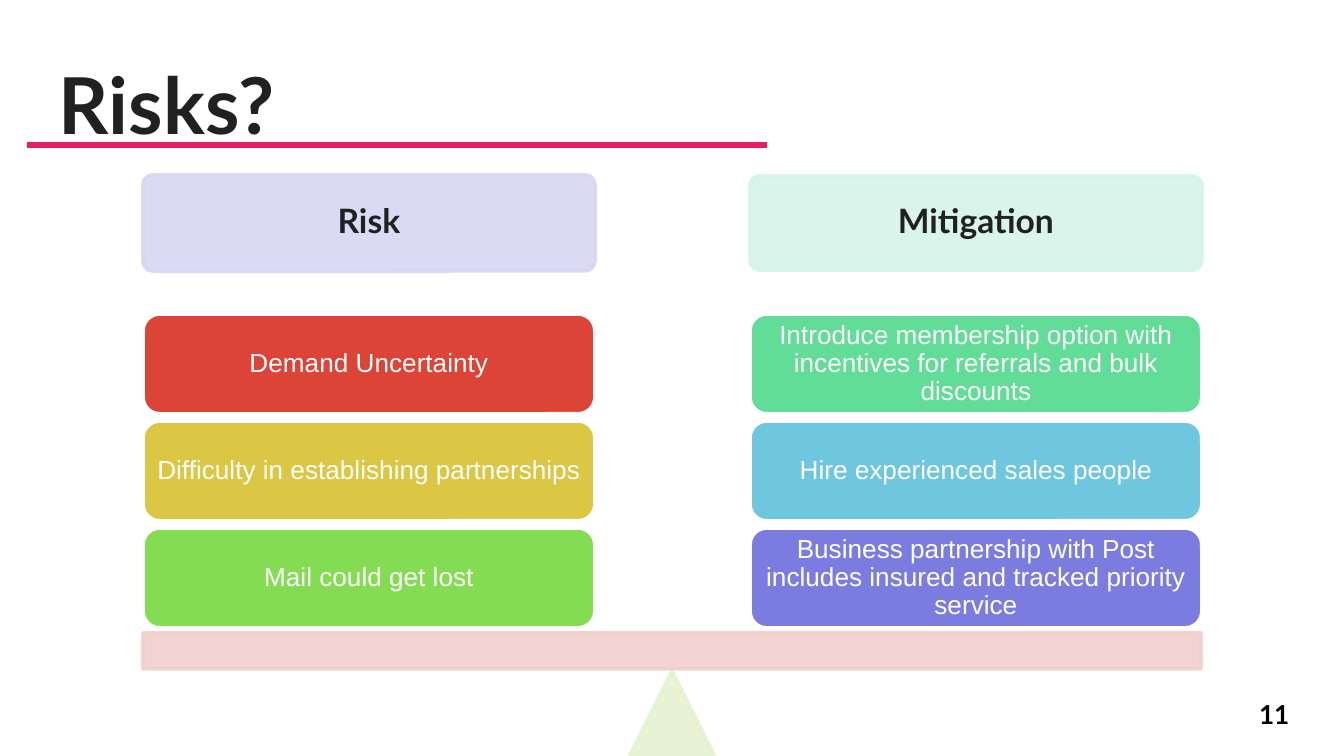
from dataclasses import dataclass

from lxml import etree
from pptx import Presentation
from pptx.dml.color import RGBColor
from pptx.enum.shapes import MSO_CONNECTOR, MSO_SHAPE
from pptx.enum.text import MSO_ANCHOR, PP_ALIGN
from pptx.oxml.ns import qn
from pptx.util import Pt

ROUNDED = MSO_SHAPE.ROUNDED_RECTANGLE
RECTANGLE = MSO_SHAPE.RECTANGLE
TRIANGLE = MSO_SHAPE.ISOSCELES_TRIANGLE
STRAIGHT = MSO_CONNECTOR.STRAIGHT
TOP, MIDDLE = MSO_ANCHOR.TOP, MSO_ANCHOR.MIDDLE
LEFT, CENTER = PP_ALIGN.LEFT, PP_ALIGN.CENTER

EMU_PER_PX = 914400 / 134.4


def px(length):
    return round(length * EMU_PER_PX)


@dataclass(frozen=True)
class Theme:
    heading_font: str = "Lato"
    body_font: str = "Arial"
    title_size: int = 42
    header_size: int = 18
    body_size: int = 14
    ink: str = "212121"
    black: str = "000000"
    white: str = "FFFFFF"
    accent: str = "E91D63"
    beam: str = "F1CFCE"
    pivot: str = "E6F2D1"
    risk_header: str = "D7D7F3"
    mitigation_header: str = "D4F3E9"
    risk_cards: tuple = ("DB4437", "DCC745", "84DC53")
    mitigation_cards: tuple = ("61DD97", "6FC6DF", "7C7CE0")


class SlideBuilder:
    def __init__(self, slide, theme):
        self.slide = slide
        self.theme = theme

    def set_text(self, shape, text, size, color, font, bold, align, anchor, inset):
        frame = shape.text_frame
        frame.text = text
        frame.word_wrap = True
        frame.vertical_anchor = anchor
        frame.margin_left = frame.margin_right = px(inset)
        frame.margin_top = frame.margin_bottom = px(inset)
        paragraph = frame.paragraphs[0]
        paragraph.alignment = align
        if align == CENTER:
            paragraph.line_spacing = 0.9
        for run in paragraph.runs:
            run.font.size = Pt(size)
            run.font.name = font
            run.font.bold = bold
            run.font.color.rgb = RGBColor.from_string(color)

    def label(self, box, text, size, color, anchor):
        shape = self.slide.shapes.add_textbox(*map(px, box))
        self.set_text(shape, text, size, color, self.theme.heading_font, True, LEFT, anchor, 13)

    def rule(self, left, right, y):
        line = self.slide.shapes.add_connector(STRAIGHT, px(left), px(y), px(right), px(y))
        line.line.color.rgb = RGBColor.from_string(self.theme.accent)
        line.line.width = Pt(3)
        etree.SubElement(line._element.spPr, qn("a:effectLst"))

    def block(self, kind, box, fill, outline):
        shape = self.slide.shapes.add_shape(kind, *map(px, box))
        shape.shadow.inherit = False
        shape.fill.solid()
        shape.fill.fore_color.rgb = RGBColor.from_string(fill)
        shape.line.color.rgb = RGBColor.from_string(outline)
        shape.line.width = Pt(2)
        return shape

    def pale_block(self, kind, box, color):
        shape = self.block(kind, box, color, color)
        for tint in shape._element.spPr.iter(qn("a:srgbClr")):
            etree.SubElement(tint, qn("a:alpha"), val="90000")
        return shape

    def header(self, box, text, color):
        shape = self.pale_block(ROUNDED, box, color)
        shape.adjustments[0] = 0.1
        self.set_text(shape, text, self.theme.header_size, self.theme.ink,
                      self.theme.heading_font, True, CENTER, MIDDLE, 9)

    def card(self, box, text, color):
        shape = self.block(ROUNDED, box, color, self.theme.white)
        self.set_text(shape, text, self.theme.body_size, self.theme.white,
                      self.theme.body_font, False, CENTER, MIDDLE, 7)


def main():
    presentation = Presentation()
    presentation.slide_width, presentation.slide_height = px(1344), px(756)
    slide = presentation.slides.add_slide(presentation.slide_layouts[6])
    theme = Theme()
    builder = SlideBuilder(slide, theme)

    # Title, underline and slide number
    builder.rule(27, 767, 145)
    builder.label((46, 43, 1253, 118), "Risks?", theme.title_size, theme.ink, TOP)
    builder.label((1246, 685, 81, 58), "11", theme.body_size, theme.black, MIDDLE)

    # Balance: pivot and beam
    builder.pale_block(TRIANGLE, (627, 671, 90, 90), theme.pivot)
    builder.pale_block(RECTANGLE, (143, 633, 1058, 36), theme.beam)

    # Two columns of stacked cards
    column_width, card_height = 452, 100
    first_top, pitch = 314, 107
    columns = [
        (143, 175, 96, "Risk", theme.risk_header, theme.risk_cards, [
            "Demand Uncertainty",
            "Difficulty in establishing partnerships",
            "Mail could get lost",
        ]),
        (750, 176, 94, "Mitigation", theme.mitigation_header, theme.mitigation_cards, [
            "Introduce membership option with incentives for referrals and bulk discounts",
            "Hire experienced sales people",
            "Business partnership with Post includes insured and tracked priority service",
        ]),
    ]
    for left, top, height, heading, header_color, card_colors, texts in columns:
        builder.header((left, top, column_width, height), heading, header_color)
        for row, (text, color) in enumerate(zip(texts, card_colors)):
            card_top = first_top + row * pitch
            builder.card((left, card_top, column_width, card_height), text, color)

    presentation.save("out.pptx")


if __name__ == "__main__":
    main()
